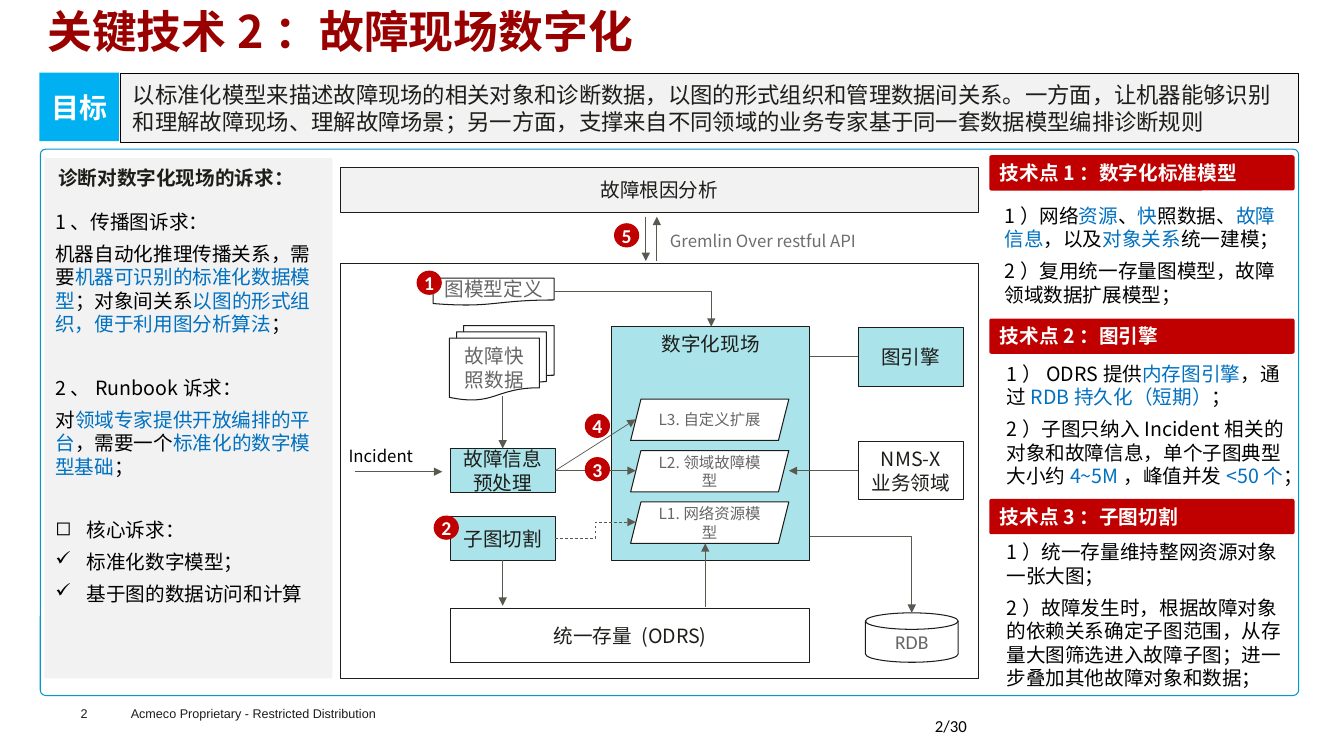
from dataclasses import dataclass
from typing import Optional

from lxml import etree
from pptx import Presentation
from pptx import util as u
from pptx.dml.color import RGBColor
from pptx.enum import dml, shapes, text
from pptx.oxml import ns

NOTO, CALIBRI, ARIAL = "Noto Sans CJK SC", "Calibri", "Arial"
BLACK, WHITE = RGBColor(0, 0, 0), RGBColor(255, 255, 255)
INK, GRAY, LINE_GRAY = RGBColor(0x1D, 0x1D, 0x1A), RGBColor(0x66, 0x66, 0x66), RGBColor(0x59, 0x59, 0x50)
API_GRAY = RGBColor(0x6E, 0x6E, 0x6E)
PALE, AQUA, SKY = RGBColor(0xF2, 0xF2, 0xF2), RGBColor(0xAA, 0xE3, 0xEA), RGBColor(0, 0xB0, 0xF0)
RED, DARK_RED = RGBColor(0xC0, 0, 0), RGBColor(0x99, 0, 0)
BLUE, BORDER = RGBColor(0, 0x70, 0xC0), RGBColor(0, 0x99, 0xCC)
Shape = shapes.MSO_SHAPE
CENTER, LEFT = text.PP_ALIGN.CENTER, text.PP_ALIGN.LEFT
MIDDLE, TOP = text.MSO_ANCHOR.MIDDLE, text.MSO_ANCHOR.TOP


@dataclass
class Node:
    """A block of the diagram with its label."""
    label: str
    box: tuple
    kind: int = Shape.RECTANGLE
    fill: Optional[RGBColor] = None
    color: RGBColor = INK
    font: str = NOTO
    size: float = 14
    anchor: int = MIDDLE


@dataclass
class Link:
    """A connector; start and finish may name a node and its side."""
    begin: tuple
    end: tuple
    start: Optional[tuple] = None
    finish: Optional[tuple] = None
    bends: int = 0
    arrow: bool = True
    dashed: bool = False


@dataclass
class TechPoint:
    """A red heading and the paragraphs below it."""
    heading: str
    top: float
    body_box: tuple
    paragraphs: list


NODES = [
    Node("故障根因分析", (3.38, 1.66, 6.33, 0.45), fill=PALE, font=CALIBRI),
    Node("", (3.38, 2.61, 6.33, 4.12)),
    Node("数字化现场", (6.07, 3.24, 1.97, 2.32), fill=AQUA, font=CALIBRI, anchor=TOP),
    Node("故障信息预处理", (4.47, 4.45, 1.04, 0.44), fill=AQUA),
    Node("子图切割", (4.47, 5.12, 1.04, 0.44), fill=AQUA),
    Node("统一存量 (ODRS)", (4.47, 6.04, 3.57, 0.53)),
    Node("图引擎", (8.52, 3.25, 1.04, 0.58), fill=AQUA),
    Node("NMS-X\n业务领域", (8.52, 4.38, 1.04, 0.58)),
    Node("故障快照数据", (4.46, 3.23, 1.04, 0.74), Shape.FLOWCHART_MULTIDOCUMENT, color=GRAY, font=CALIBRI),
    Node("图模型定义", (4.3, 2.76, 1.2, 0.27), Shape.FLOWCHART_DOCUMENT, color=GRAY, font=CALIBRI),
    Node("RDB", (8.59, 6.08, 0.92, 0.49), Shape.FLOWCHART_MAGNETIC_DISK, color=GRAY, font=CALIBRI),
] + [
    Node(label, (6.26, 3.96 + 0.51 * row, 1.57, 0.41), Shape.PARALLELOGRAM, WHITE, GRAY, size=11)
    for row, label in enumerate(["L3.自定义扩展", "L2.领域故障模型", "L1.网络资源模型"])
]
LINKS = [
    Link((3.52, 4.68), (4.39, 4.68)),
    Link((4.99, 5.56), (4.99, 6.01), start=("子图切割", 2)),
    Link((5.51, 5.34), (6.31, 5.18), bends=2, dashed=True),
    Link((5.51, 4.67), (6.31, 4.16), start=("故障信息预处理", 3)),
    Link((5.51, 4.67), (6.31, 4.67), start=("故障信息预处理", 3)),
    Link((4.99, 3.93), (4.99, 4.45), finish=("故障信息预处理", 0)),
    Link((8.52, 4.67), (7.83, 4.67), start=("NMS-X\n业务领域", 1)),
    Link((8.04, 5.32), (9.05, 6.08), bends=1),
    Link((7, 6.02), (7, 5.39)),
    Link((8.04, 3.54), (8.52, 3.54), finish=("图引擎", 1), arrow=False),
    Link((6.41, 2.15), (6.41, 2.59)),
    Link((6.52, 2.59), (6.52, 2.15)),
    Link((5.5, 2.89), (7.06, 3.24), bends=1),
]
BADGES = [(4.14, 2.69), (4.31, 5.12), (5.81, 4.54), (5.81, 4.11), (6.1, 2.22)]
NEEDS = [
    "1、传播图诉求：",
    "机器自动化推理传播关系，需要|机器可识别的标准化数据模型|；对象间关系|以图的形式组织，便于利用图分析算法|；",
    "2、Runbook诉求：",
    "对|领域专家提供开放编排的平台|，需要一个|标准化的数字模型基础|；",
    "核心诉求：", "标准化数字模型；", "基于图的数据访问和计算",
]
NEED_GAPS = {2: 28.5, 4: 28.5}
NEED_BULLETS = {4: "◻", 5: "✓", 6: "✓"}
TECH_POINTS = [
    TechPoint("技术点|1：数字化标准模型", 1.54, (9.97, 2.02, 2.8, 1.03), [
        "1）网络|资源|、|快|照数据、|故障信息|，以及|对象关系|统一建模；",
        "2）复用统一存量图模型，故障领域数据扩展模型；"]),
    TechPoint("技术点|2：图引擎", 3.16, (9.99, 3.59, 2.8, 1.26), [
        "1）ODRS提供|内存图引擎|，通过|RDB持久化（短期）|；",
        "2）子图只纳入Incident相关的对象和故障信息，单个子图典型大小约|4~5M|，峰值并发|<50个|；"]),
    TechPoint("技术点|3：子图切割", 4.95, (9.99, 5.36, 2.8, 1.5), [
        "1）统一存量维持整网资源对象一张大图；",
        "2）故障发生时，根据故障对象的依赖关系确定子图范围，从存量大图筛选进入故障子图；进一步叠加其他故障对象和数据；"]),
]
GOAL = ("以标准化模型来描述故障现场的相关对象和诊断数据，以图的形式组织和管理数据间关系。一方面，让机器能够识别和理解故障现场、"
        "理解故障场景；另一方面，支撑来自不同领域的业务专家基于同一套数据模型编排诊断规则")


def write(shape, paragraphs, *, size=14, font=NOTO, color=BLACK, bold=False, align=LEFT, anchor=TOP,
          inset=(0.1, 0.05), before=0, accent=BLUE, accent_font=None, gaps=None, bullets=None):
    """Fill a shape with paragraphs whose text between bars takes the accent format."""
    frame = shape.text_frame
    frame.word_wrap, frame.vertical_anchor = True, anchor
    frame.margin_left = frame.margin_right = u.Inches(inset[0])
    frame.margin_top = frame.margin_bottom = u.Inches(inset[1])
    for index, content in enumerate(paragraphs):
        paragraph = frame.add_paragraph() if index else frame.paragraphs[0]
        paragraph.alignment = align
        paragraph.line_spacing = u.Pt(round(size * 1.2, 1))
        paragraph.space_before = u.Pt((gaps or {}).get(index, before))
        if bullets and index in bullets:
            properties = paragraph._p.get_or_add_pPr()
            properties.set("marL", str(u.Inches(0.31)))
            properties.set("indent", str(-u.Inches(0.31)))
            etree.SubElement(properties, ns.qn("a:buChar")).set("char", bullets[index])
        for position, piece in enumerate(content.split("|")):
            accented = position % 2 == 1
            run = paragraph.add_run()
            run.text = piece
            run.font.size, run.font.bold = u.Pt(size), bold
            run.font.name = accent_font if accented and accent_font else font
            run.font.color.rgb = accent if accented else color
            east_asian = etree.Element(ns.qn("a:ea"))
            east_asian.set("typeface", NOTO)
            run._r.rPr.find(ns.qn("a:latin")).addnext(east_asian)


def add_block(slide, box: tuple, kind=Shape.RECTANGLE, fill=None, line=None):
    """Add a preset shape with optional fill and outline."""
    shape = slide.shapes.add_shape(kind, *map(u.Inches, box))
    shape.shadow.inherit = False
    if fill is None:
        shape.fill.background()
    else:
        shape.fill.solid()
        shape.fill.fore_color.rgb = fill
    if line is None:
        shape.line.fill.background()
    else:
        shape.line.color.rgb, shape.line.width = line, u.Pt(0.75)
    return shape


def add_text(slide, box: tuple, paragraphs: list, **style) -> None:
    """Add a text box without insets unless the style gives them."""
    write(slide.shapes.add_textbox(*map(u.Inches, box)), paragraphs, **{"inset": (0, 0), **style})


def add_link(slide, link: Link, nodes: dict) -> None:
    """Draw a connector and join it to its nodes."""
    kind = shapes.MSO_CONNECTOR.ELBOW if link.bends else shapes.MSO_CONNECTOR.STRAIGHT
    connector = slide.shapes.add_connector(kind, *map(u.Inches, link.begin + link.end))
    if link.start:
        connector.begin_connect(nodes[link.start[0]], link.start[1])
    if link.finish:
        connector.end_connect(nodes[link.finish[0]], link.finish[1])
    connector.line.color.rgb, connector.line.width = LINE_GRAY, u.Pt(0.5)
    if link.dashed:
        connector.line.dash_style = dml.MSO_LINE.DASH
    properties = connector._element.spPr
    if link.bends == 1:
        properties.find(ns.qn("a:prstGeom")).set("prst", "bentConnector2")
    if link.arrow:
        etree.SubElement(connector.line._get_or_add_ln(), ns.qn("a:tailEnd")).set("type", "triangle")
    etree.SubElement(properties, ns.qn("a:effectLst"))


def add_frame(slide) -> None:
    """Draw the title, the goal bar, the outer border and the footer."""
    title = slide.shapes.title
    title.left, title.top, title.width, title.height = map(u.Inches, (0.37, 0, 12.6, 0.6))
    write(title, ["关键技术2：故障现场数字化"], size=32, color=DARK_RED, bold=True, anchor=MIDDLE)
    write(add_block(slide, (0.39, 0.72, 0.79, 0.68), fill=SKY), ["目标"],
          size=20, color=WHITE, bold=True, align=CENTER, anchor=MIDDLE)
    write(add_block(slide, (1.2, 0.73, 11.69, 0.68), fill=PALE, line=BLACK), [GOAL],
          size=16, font=CALIBRI, color=INK, anchor=MIDDLE, inset=(0.12, 0.06))
    border = add_block(slide, (0.4, 1.48, 12.49, 5.42), Shape.ROUNDED_RECTANGLE, line=BORDER)
    border.adjustments[0] = 0.01
    add_text(slide, (0.8, 7, 0.55, 0.15), ["2"], size=9, font=ARIAL, color=INK)
    add_text(slide, (1.2, 6.95, 3.83, 0.25), ["Acmeco Proprietary - Restricted Distribution"],
             size=9, font=ARIAL, color=INK, inset=(0.1, 0.05))
    add_text(slide, (9.28, 7.1, 3.06, 0.5), ["2/30"], size=12, font=CALIBRI)


def add_needs(slide) -> None:
    """Draw the grey panel of needs on the left."""
    add_block(slide, (0.44, 1.57, 2.86, 5.16), fill=PALE)
    add_text(slide, (0.48, 1.59, 2.51, 0.35), ["诊断对数字化现场的诉求："],
             color=INK, bold=True, anchor=MIDDLE, inset=(0.1, 0.05))
    add_text(slide, (0.55, 2.08, 2.67, 3.97), NEEDS, before=6, gaps=NEED_GAPS, bullets=NEED_BULLETS)


def add_diagram(slide) -> None:
    """Draw the nodes, links, labels and numbered badges."""
    nodes = {}
    for node in NODES:
        nodes[node.label] = shape = add_block(slide, node.box, node.kind, node.fill, INK)
        if node.label:
            write(shape, node.label.split("\n"), size=node.size, font=node.font, color=node.color,
                  align=CENTER, anchor=node.anchor)
    for link in LINKS:
        add_link(slide, link, nodes)
    add_text(slide, (3.46, 4.42, 0.77, 0.2), ["Incident"], size=12)
    add_text(slide, (6.65, 2.29, 2.27, 0.2), ["Gremlin Over restful API"], size=12, color=API_GRAY)
    for number, corner in enumerate(BADGES, 1):
        badge = add_block(slide, corner + (0.24, 0.23), Shape.FLOWCHART_CONNECTOR, RED, RED)
        write(badge, [str(number)], font=CALIBRI, color=WHITE, bold=True,
              align=CENTER, anchor=MIDDLE, inset=(0, 0))


def add_tech_points(slide) -> None:
    """Draw the red headings and their text on the right."""
    for point in TECH_POINTS:
        heading = add_block(slide, (9.82, point.top, 3.03, 0.35), Shape.ROUNDED_RECTANGLE, RED)
        heading.adjustments[0] = 0.06
        write(heading, [point.heading], font=CALIBRI, color=WHITE, bold=True, anchor=MIDDLE,
              accent=WHITE, accent_font=NOTO)
        add_text(slide, point.body_box, point.paragraphs, before=6)


def main() -> None:
    """Build the slide and save it."""
    presentation = Presentation()
    presentation.slide_width, presentation.slide_height = u.Inches(13.34), u.Inches(7.5)
    slide = presentation.slides.add_slide(presentation.slide_layouts[5])
    for add_part in (add_frame, add_needs, add_diagram, add_tech_points):
        add_part(slide)
    presentation.save("out.pptx")


if __name__ == "__main__":
    main()
